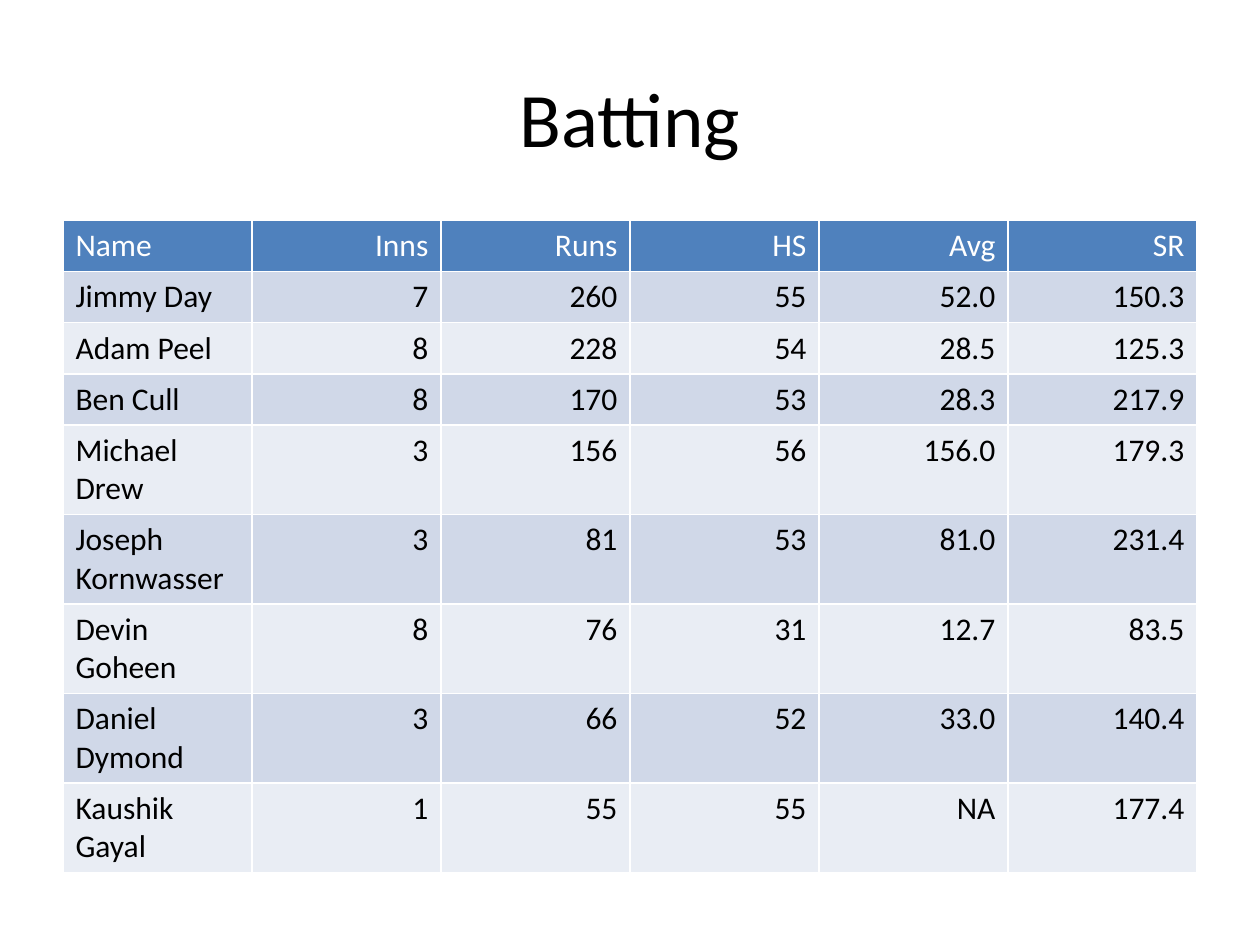
from pptx import Presentation
from pptx.dml.color import RGBColor
from pptx.enum.text import MSO_ANCHOR, PP_ALIGN
from pptx.util import Inches, Pt

FONT = "Calibri"
BLACK = RGBColor(0x00, 0x00, 0x00)
WHITE = RGBColor(0xFF, 0xFF, 0xFF)
HEADER_BLUE = RGBColor(0x4F, 0x81, 0xBD)
BANDS = (RGBColor(0xD0, 0xD8, 0xE8), RGBColor(0xE9, 0xED, 0xF4))

SINGLE_ROW, DOUBLE_ROW = 0.4, 0.71
LONGEST_SINGLE_NAME = 9

BATTING = [
    ("Name", "Inns", "Runs", "HS", "Avg", "SR"),
    ("Jimmy Day", "7", "260", "55", "52.0", "150.3"),
    ("Adam Peel", "8", "228", "54", "28.5", "125.3"),
    ("Ben Cull", "8", "170", "53", "28.3", "217.9"),
    ("Michael Drew", "3", "156", "56", "156.0", "179.3"),
    ("Joseph Kornwasser", "3", "81", "53", "81.0", "231.4"),
    ("Devin Goheen", "8", "76", "31", "12.7", "83.5"),
    ("Daniel Dymond", "3", "66", "52", "33.0", "140.4"),
    ("Kaushik Gayal", "1", "55", "55", "NA", "177.4"),
]


def format_paragraph(p, size, color, align):
    """Set the font and alignment of one paragraph."""
    p.alignment = align
    p.font.name = FONT
    p.font.size = Pt(size)
    p.font.bold = False
    p.font.color.rgb = color


def place_title(slide, text, left, top, width, height):
    """Move the title placeholder into the box and fill it."""
    title = slide.shapes.title
    title.left, title.top = Inches(left), Inches(top)
    title.width, title.height = Inches(width), Inches(height)
    tf = title.text_frame
    tf.text = text
    tf.vertical_anchor = MSO_ANCHOR.MIDDLE
    format_paragraph(tf.paragraphs[0], 44, BLACK, PP_ALIGN.CENTER)


def place_table(slide, rows, left, top, width):
    """Draw the batting table with equal columns and banded rows."""
    heights = [DOUBLE_ROW if len(row[0]) > LONGEST_SINGLE_NAME else SINGLE_ROW
               for row in rows]
    table = slide.shapes.add_table(
        len(rows), len(rows[0]), Inches(left), Inches(top),
        Inches(width), Inches(sum(heights))).table
    for i, (row, height) in enumerate(zip(rows, heights)):
        table.rows[i].height = Inches(height)
        fill = BANDS[(i - 1) % 2] if i else HEADER_BLUE
        for j, text in enumerate(row):
            cell = table.cell(i, j)
            cell.fill.solid()
            cell.fill.fore_color.rgb = fill
            cell.text = text
            format_paragraph(cell.text_frame.paragraphs[0], 18,
                             BLACK if i else WHITE,
                             PP_ALIGN.RIGHT if j else PP_ALIGN.LEFT)


def main():
    """Build and save the batting slide."""
    prs = Presentation()
    prs.slide_width, prs.slide_height = Inches(10), Inches(7.5)
    slide = prs.slides.add_slide(prs.slide_layouts[5])
    place_title(slide, "Batting", 0.5, 0.3, 9, 1.25)
    place_table(slide, BATTING, 0.5, 1.75, 9)
    prs.save("out.pptx")


if __name__ == "__main__":
    main()
